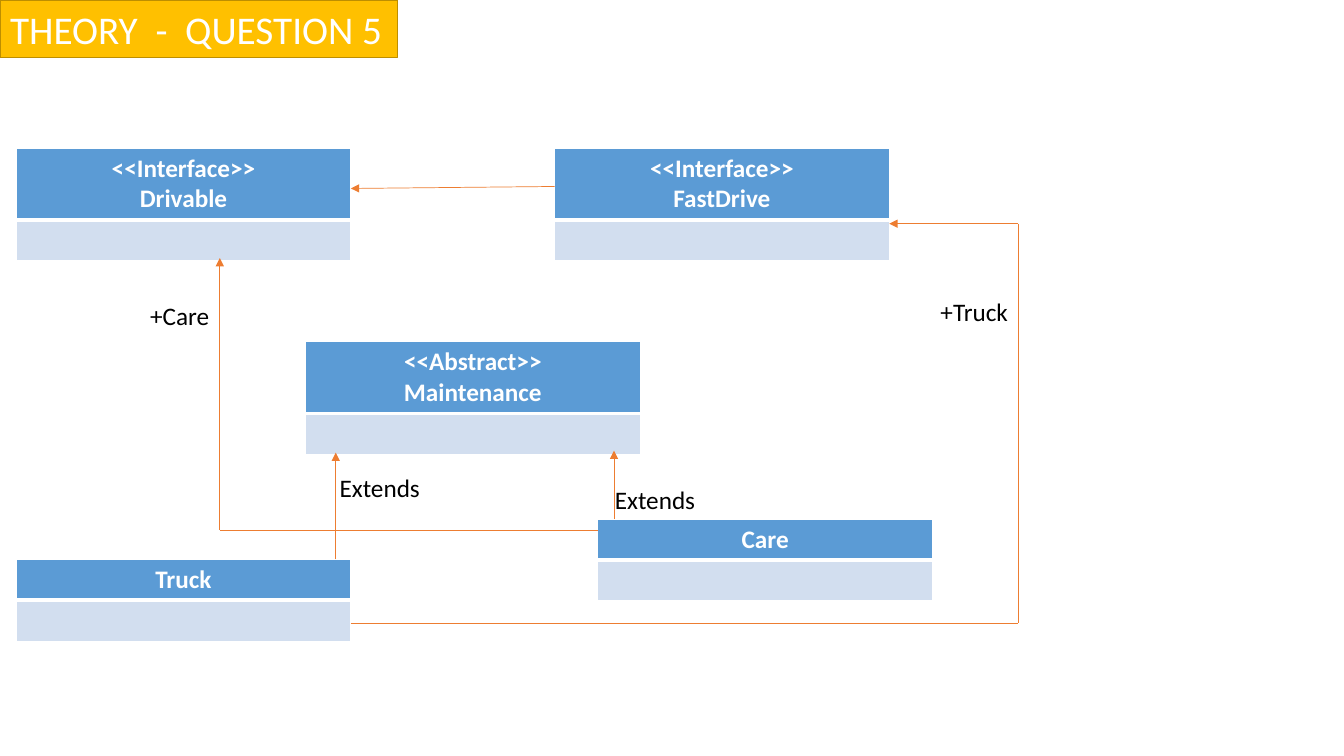
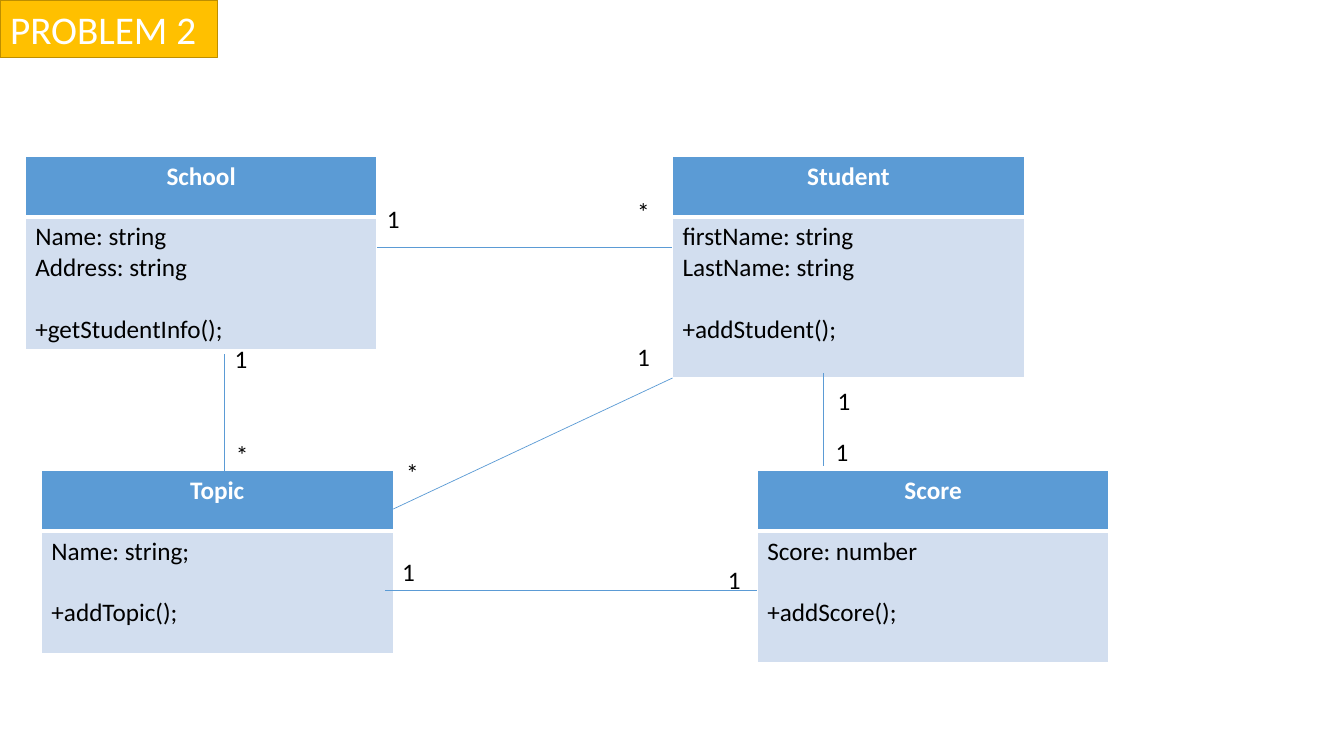
from itertools import pairwise

from lxml import etree
from pptx import Presentation
from pptx.dml.color import RGBColor
from pptx.enum.shapes import MSO_CONNECTOR as Connector
from pptx.enum.text import MSO_ANCHOR as Anchor, MSO_AUTO_SIZE as AutoSize, PP_ALIGN as Align
from pptx.oxml.ns import qn
from pptx.util import Inches, Pt

COLORS = {
    "white": "FFFFFF",
    "black": "000000",
    "banner": "FFC000",
    "banner_edge": "BD8E00",
    "header": "5B9BD5",
    "body": "D2DEEF",
    "inheritance": "ED7D31",
    "association": "5B9BD5",
}
FONT = "Calibri"
LINE_GAP = Pt(22)
LABEL_HEIGHT = 0.4
DIGIT_WIDTH = 0.44
THEORY_WIDTH, PROBLEM_WIDTH = 3.32, 3.49
LEFT_COLUMN = 0.16
TOP_ROW = 1.47
PROBLEM_ROWS = (1.55, 4.67)
PROBLEM_HEADER = 0.6


def rgb(name):
    return RGBColor.from_string(COLORS[name])


def style_text(frame, color, size=18, bold=False, align=Align.LEFT):
    for paragraph in frame.paragraphs:
        paragraph.alignment = align
        for run in paragraph.runs:
            run.font.name = FONT
            run.font.size = Pt(size)
            run.font.bold = bold
            run.font.color.rgb = rgb(color)


def add_slide(prs, heading, banner_width):
    slide = prs.slides.add_slide(prs.slide_layouts[5])
    banner = slide.shapes.title
    banner.left, banner.top = Inches(0), Inches(0)
    banner.width, banner.height = Inches(banner_width), Inches(0.57)
    banner.fill.solid()
    banner.fill.fore_color.rgb = rgb("banner")
    banner.line.color.rgb = rgb("banner_edge")
    banner.line.width = Pt(1)
    frame = banner.text_frame
    frame.text = heading
    frame.word_wrap = False
    frame.auto_size = AutoSize.NONE
    frame.vertical_anchor = Anchor.MIDDLE
    style_text(frame, "white", size=28)
    return slide


def set_borders(cell, top=1, bottom=1):
    properties = cell._tc.get_or_add_tcPr()
    for side, width in (("L", 1), ("R", 1), ("T", top), ("B", bottom)):
        border = etree.SubElement(properties, qn(f"a:ln{side}"), w=str(Pt(width)))
        fill = etree.SubElement(border, qn("a:solidFill"))
        etree.SubElement(fill, qn("a:srgbClr"), val=COLORS["white"])


def fill_cell(cell, color):
    cell.fill.solid()
    cell.fill.fore_color.rgb = rgb(color)


def add_class(slide, name, left, top, width, header_height, body_height,
              fields=(), method=None):
    frame = slide.shapes.add_table(
        2, 1, Inches(left), Inches(top), Inches(width),
        Inches(header_height + body_height))
    table = frame.table
    table.rows[0].height = Inches(header_height)
    table.rows[1].height = Inches(body_height)
    header, body = table.cell(0, 0), table.cell(1, 0)
    set_borders(header, bottom=3)
    set_borders(body, top=3)
    fill_cell(header, "header")
    fill_cell(body, "body")
    header.text_frame.text = name
    style_text(header.text_frame, "white", bold=True, align=Align.CENTER)
    if method:
        body.text_frame.text = "\n".join((*fields, method))
        style_text(body.text_frame, "black")
        body.text_frame.paragraphs[-1].space_before = LINE_GAP


def add_route(slide, color, points, arrow=False):
    for start, end in pairwise(points):
        line = slide.shapes.add_connector(
            Connector.STRAIGHT, *(Inches(value) for value in (*start, *end)))
        line.line.color.rgb = rgb(color)
        line.line.width = Pt(0.5)
        etree.SubElement(line._element.spPr, qn("a:effectLst"))
        if arrow and end == points[-1]:
            etree.SubElement(line.line._get_or_add_ln(), qn("a:tailEnd"), type="triangle")


def add_label(slide, text, left, top, width=DIGIT_WIDTH):
    label = slide.shapes.add_textbox(
        Inches(left), Inches(top), Inches(width), Inches(LABEL_HEIGHT))
    frame = label.text_frame
    frame.word_wrap = True
    frame.auto_size = AutoSize.SHAPE_TO_FIT_TEXT
    frame.text = text
    style_text(frame, "black")


def build_theory(prs):
    slide = add_slide(prs, "THEORY  -  QUESTION 5", 3.94)
    for name, left, top in (
        ("<<Interface>>\nDrivable", LEFT_COLUMN, TOP_ROW),
        ("<<Interface>>\nFastDrive", 5.5, TOP_ROW),
        ("<<Abstract>>\nMaintenance", 3.03, 3.39),
        ("Care", 5.93, 5.15),
        ("Truck", LEFT_COLUMN, 5.55),
    ):
        header_height = 0.7 if "\n" in name else 0.4
        add_class(slide, name, left, top, THEORY_WIDTH, header_height, 0.4)
    for points in (
        [(5.5, 1.85), (3.48, 1.87)],
        [(6.09, 5.15), (6.09, 4.47)],
        [(5.93, 5.26), (2.18, 5.26), (2.18, 2.56)],
        [(3.33, 5.55), (3.33, 4.49)],
        [(3.48, 6.18), (10.1, 6.18), (10.1, 2.22), (8.82, 2.22)],
    ):
        add_route(slide, "inheritance", points, arrow=True)
    for label in (
        ("Extends", 6, 4.76, 1.16),
        ("Extends", 3.27, 4.64, 1.16),
        ("+Care", 1.39, 2.93, 0.87),
        ("+Truck", 9.23, 2.89, 1.03),
    ):
        add_label(slide, *label)


def build_problem(prs):
    slide = add_slide(prs, "PROBLEM 2", 2.16)
    upper, lower = PROBLEM_ROWS
    for name, left, top, body_height, fields, method in (
        ("School", 0.25, upper, 1.3, ["Name: string", "Address: string"],
         "+getStudentInfo();"),
        ("Student", 6.67, upper, 1.6, ["firstName: string", "LastName: string"],
         "+addStudent();"),
        ("Topic", 0.41, lower, 1.21, ["Name: string;"], "+addTopic();"),
        ("Score", 7.51, lower, 1.3, ["Score: number"], "+addScore();"),
    ):
        add_class(slide, name, left, top, PROBLEM_WIDTH, PROBLEM_HEADER,
                  body_height, fields, method)
    for points in (
        [(3.74, 2.45), (6.67, 2.45)],
        [(2.23, 4.69), (2.23, 3.51)],
        [(3.9, 5.05), (6.67, 3.75)],
        [(3.82, 5.86), (7.51, 5.86)],
        [(8.17, 4.62), (8.17, 3.7)],
    ):
        add_route(slide, "association", points)
    for multiplicity in (
        ("1", 3.74, 1.97), ("*", 6.22, 1.9),
        ("1", 2.23, 3.36), ("*", 2.24, 4.31),
        ("1", 6.22, 3.34), ("*", 3.93, 4.49),
        ("1", 3.89, 5.47), ("1", 7.12, 5.55),
        ("1", 8.21, 3.77), ("1", 8.19, 4.28),
    ):
        add_label(slide, *multiplicity)


def main():
    prs = Presentation()
    prs.slide_width, prs.slide_height = Inches(13.33), Inches(7.5)
    build_theory(prs)
    build_problem(prs)
    prs.save("out.pptx")


if __name__ == "__main__":
    main()
